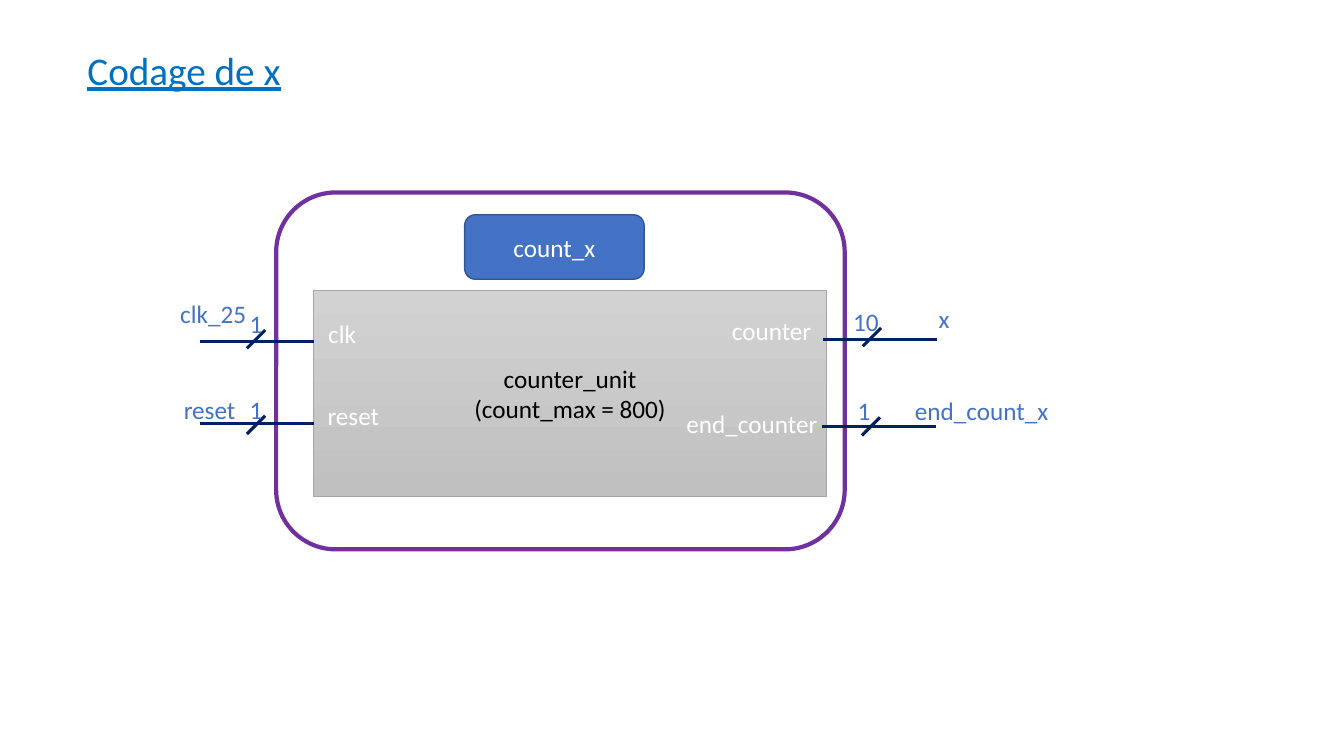
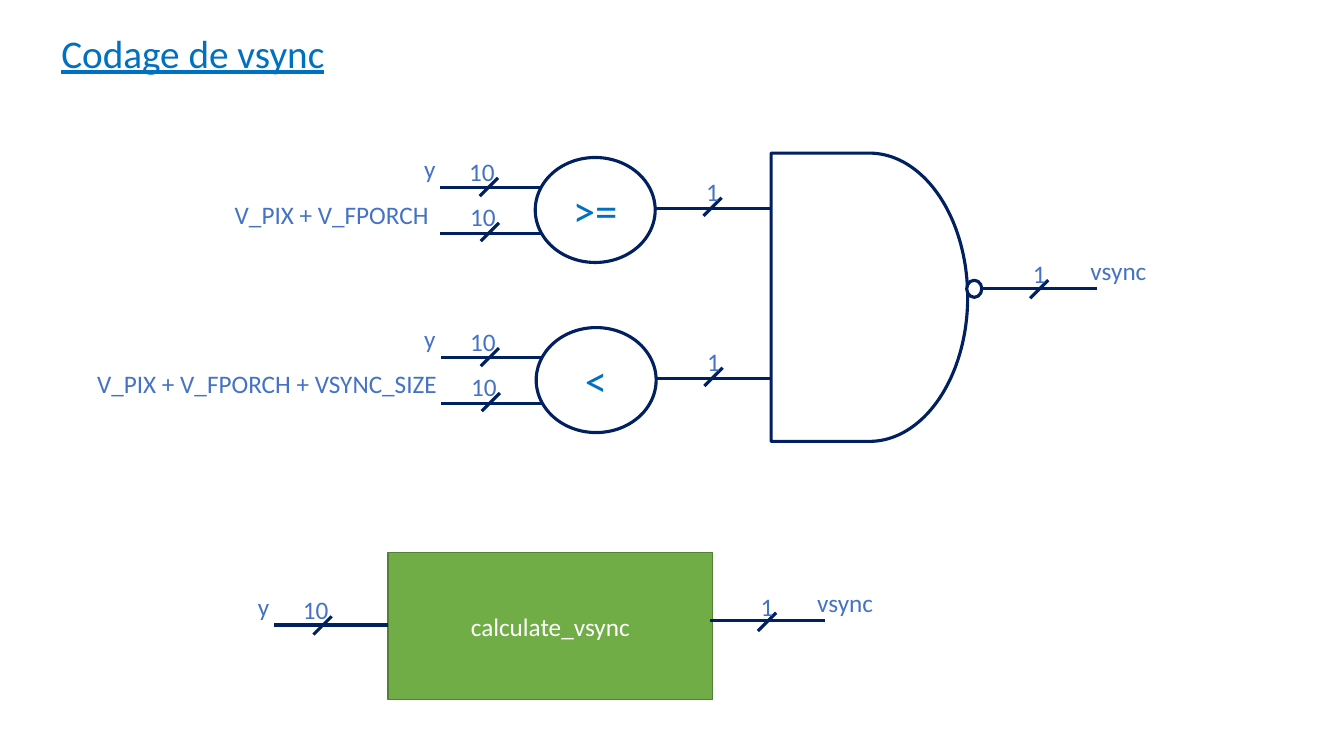
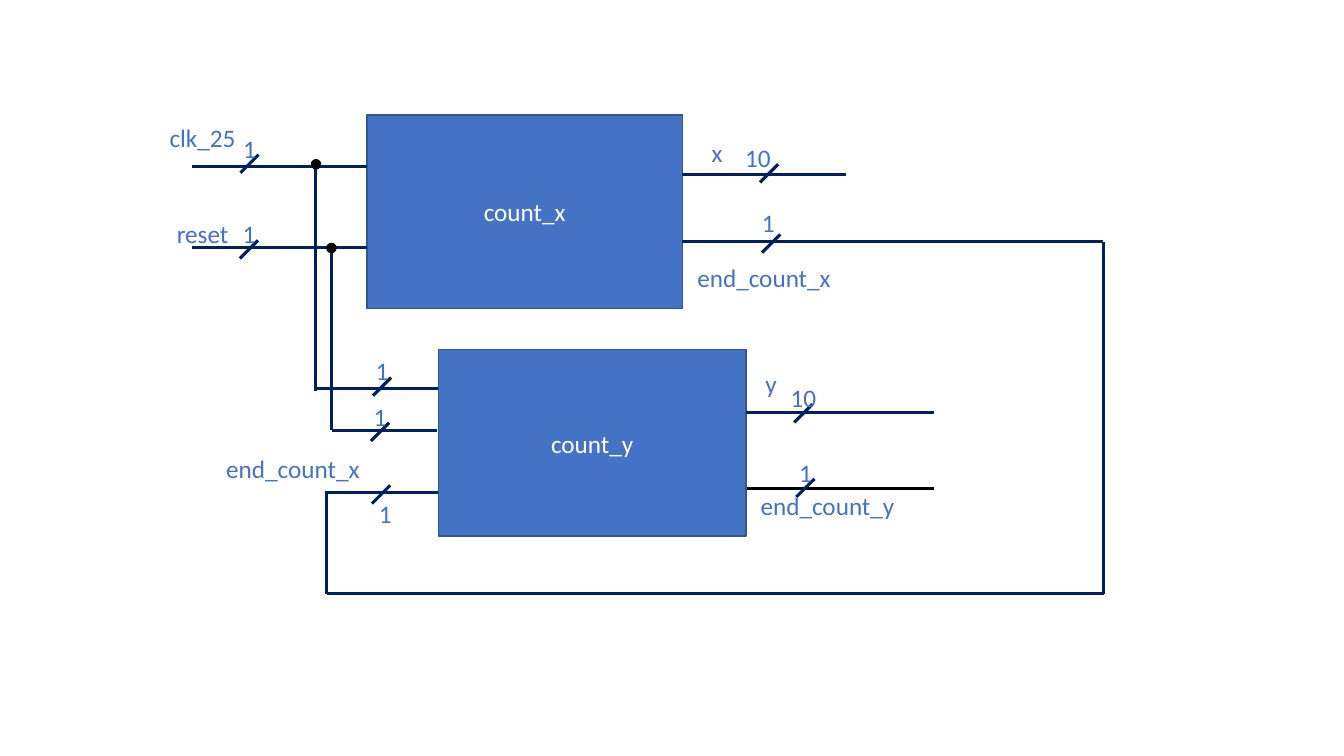
from dataclasses import dataclass

from pptx import Presentation
from pptx.dml.color import RGBColor
from pptx.enum.shapes import MSO_CONNECTOR, MSO_SHAPE
from pptx.enum.text import MSO_ANCHOR, PP_ALIGN
from pptx.oxml.ns import qn
from pptx.slide import Slide
from pptx.text.text import TextFrame
from pptx.util import Pt

FONT = "Calibri"
NAVY = "002060"
BLUE = "4472C4"
BLUE_EDGE = "325491"
TITLE_BLUE = "0070C0"
WHITE = "FFFFFF"
BLACK = "000000"
LABEL_HEIGHT = 28.8
BITS_WIDTH = 34.6
SLASH_HALF = 6.5


@dataclass
class Label:
    text: str
    left: float
    top: float
    width: float
    color: str = BLUE


@dataclass
class Block:
    left: float
    top: float
    width: float
    height: float
    text: str = ""
    kind: MSO_SHAPE = MSO_SHAPE.RECTANGLE
    fill: str = BLUE
    edge: str = BLUE_EDGE
    edge_width: float = 1
    color: str = WHITE
    size: float = 18


@dataclass
class Bus:
    start: float
    end: float
    y: float
    slash_x: float
    slash_y: float
    bits: str = "1"
    bits_dx: float = 0
    bits_dy: float = -25.6
    color: str = NAVY


@dataclass
class Comparator:
    operator: str
    left: float
    top: float
    threshold: Label


def rgb(value: str) -> RGBColor:
    return RGBColor.from_string(value)


def write(frame: TextFrame, text: str, size: float, color: str,
          align: PP_ALIGN = PP_ALIGN.CENTER, underline: bool | None = None) -> None:
    frame.text = text
    for paragraph in frame.paragraphs:
        paragraph.alignment = align
        for run in paragraph.runs:
            run.font.name = FONT
            run.font.size = Pt(size)
            run.font.color.rgb = rgb(color)
            run.font.underline = underline


def add_title(slide: Slide, text: str, left: float, top: float, width: float) -> None:
    box = slide.shapes.add_textbox(Pt(left), Pt(top), Pt(width), Pt(41))
    box.text_frame.word_wrap = False
    write(box.text_frame, text, 28, TITLE_BLUE, PP_ALIGN.LEFT, True)


def add_label(slide: Slide, label: Label) -> None:
    box = slide.shapes.add_textbox(Pt(label.left), Pt(label.top), Pt(label.width), Pt(LABEL_HEIGHT))
    box.text_frame.word_wrap = True
    write(box.text_frame, label.text, 18, label.color)


def add_block(slide: Slide, block: Block) -> None:
    shape = slide.shapes.add_shape(
        block.kind, Pt(block.left), Pt(block.top), Pt(block.width), Pt(block.height))
    shape.shadow.inherit = False
    if "-" in block.fill:
        shape.fill.gradient()
        shape.fill.gradient_angle = 270
        for stop, color in zip(shape.fill.gradient_stops, block.fill.split("-")):
            stop.color.rgb = rgb(color)
    else:
        shape.fill.solid()
        shape.fill.fore_color.rgb = rgb(block.fill)
    shape.line.color.rgb = rgb(block.edge)
    shape.line.width = Pt(block.edge_width)
    if block.text:
        shape.text_frame.vertical_anchor = MSO_ANCHOR.MIDDLE
        write(shape.text_frame, block.text, block.size, block.color)


def add_wire(slide: Slide, x1: float, y1: float, x2: float, y2: float, color: str = NAVY) -> None:
    wire = slide.shapes.add_connector(MSO_CONNECTOR.STRAIGHT, Pt(x1), Pt(y1), Pt(x2), Pt(y2))
    wire.line.color.rgb = rgb(color)
    wire.line.width = Pt(2.25)
    properties = wire.element.spPr
    properties.append(properties.makeelement(qn("a:effectLst"), {}))


def add_bus(slide: Slide, bus: Bus) -> None:
    add_wire(slide, bus.start, bus.y, bus.end, bus.y, bus.color)
    add_wire(slide, bus.slash_x - SLASH_HALF, bus.slash_y + SLASH_HALF,
             bus.slash_x + SLASH_HALF, bus.slash_y - SLASH_HALF)
    add_label(slide, Label(bus.bits, bus.slash_x + bus.bits_dx - BITS_WIDTH / 2,
                           bus.slash_y + bus.bits_dy, BITS_WIDTH))


def add_comparator(slide: Slide, comparator: Comparator) -> None:
    left, top = comparator.left, comparator.top
    for bus in (
        Bus(left - 67.7, left + 14, top + 21.4, left - 33.1, top + 21.1, "10", -5),
        Bus(left - 67.7, left + 14.4, top + 54.4, left - 32.4, top + 53.2, "10", -5),
        Bus(left + 86.4, left + 168, top + 36.4, left + 126.7, top + 35.2),
    ):
        add_bus(slide, bus)
    add_label(slide, comparator.threshold)
    add_label(slide, Label("y", 288, top - 6.8, 38.2))
    add_block(slide, Block(left, top, 85.7, 75, comparator.operator, MSO_SHAPE.OVAL,
                           WHITE, NAVY, 2.25, TITLE_BLUE, 32))


def draw_count_x(slide: Slide) -> None:
    add_title(slide, "Codage de x", 55.4, 29.5, 154)
    for block in (
        Block(197.3, 137.5, 406.1, 254.9, "", MSO_SHAPE.ROUNDED_RECTANGLE, WHITE, "7030A0", 3),
        Block(223.9, 207.4, 366.5, 146.9, "counter_unit\n(count_max = 800)",
              fill="D2D2D2-C0C0C0", edge="A5A5A5", edge_width=0.5, color=BLACK),
        Block(331.9, 153.4, 128.2, 46.1, "count_x", MSO_SHAPE.ROUNDED_RECTANGLE),
    ):
        add_block(slide, block)
    for bus in (
        Bus(142.6, 224, 244.1, 182.9, 242.3),
        Bus(142.6, 224, 302.4, 182.9, 303.5),
        Bus(588.2, 669.6, 242.6, 622.8, 240.8, "10", -4.3),
        Bus(587.5, 668.9, 304.6, 622.1, 304.6, "1", -5),
    ):
        add_bus(slide, bus)
    for label in (
        Label("clk_25", 118.1, 209.5, 68.4),
        Label("reset", 119.5, 277.9, 60.5),
        Label("x", 655.2, 213.1, 38.2),
        Label("end_count_x", 635, 278.6, 132.5),
        Label("clk", 210.2, 223.9, 68.4, WHITE),
        Label("reset", 218.2, 282.2, 68.4, WHITE),
        Label("counter", 504, 221.8, 94.3, WHITE),
        Label("end_counter", 470.9, 288, 132.5, WHITE),
    ):
        add_label(slide, label)


def draw_vsync(slide: Slide) -> None:
    add_title(slide, "Codage de vsync", 36.7, 17.3, 204.5)
    for comparator in (
        Comparator(">=", 382.3, 112.5, Label("V_PIX + V_FPORCH", 146.2, 139, 181.4)),
        Comparator("<", 383, 234, Label("V_PIX + V_FPORCH + VSYNC_SIZE", 44.6, 259.2, 292.3)),
    ):
        add_comparator(slide, comparator)
    for block in (
        Block(550.8, 109.4, 140.4, 205.9, "", MSO_SHAPE.FLOWCHART_DELAY, WHITE, NAVY, 2.25),
        Block(690.5, 200.2, 10.8, 12.2, "", MSO_SHAPE.OVAL, WHITE, NAVY, 2.25),
        Block(277.2, 394.6, 231.8, 105.1, "calculate_vsync", fill="70AD47", edge="538035"),
    ):
        add_block(slide, block)
    for bus in (
        Bus(702, 783.4, 205.9, 742.3, 206.6),
        Bus(195.8, 277.2, 446.4, 230.4, 446.8, "10", -5),
        Bus(506.9, 589, 443.5, 547.9, 444.2),
    ):
        add_bus(slide, bus)
    for label in (
        Label("vsync", 743.8, 178.6, 110.2),
        Label("y", 169.2, 419, 38.2),
        Label("vsync", 548.6, 416.2, 110.2),
    ):
        add_label(slide, label)


def draw_counters(slide: Slide) -> None:
    for block in (
        Block(262.1, 82.1, 225.4, 138.2, "count_x"),
        Block(313.2, 249.8, 219.6, 133.2, "count_y"),
    ):
        add_block(slide, block)
    for bus in (
        Bus(137.5, 262.1, 118.8, 178.2, 117),
        Bus(137.5, 262.1, 177.1, 177.8, 178.2),
        Bus(487.4, 604.1, 124.6, 549.4, 123.8, "10", -8),
        Bus(487.4, 787.7, 172.8, 550.8, 173.9, "1", -2, -29.2),
        Bus(225.4, 313.2, 277.2, 272.9, 276.1),
        Bus(236.9, 312.5, 307.4, 271.4, 308.5),
        Bus(231.8, 313.2, 352.1, 272.2, 353.2, "1", 2.9, -1.1),
        Bus(532.8, 667.4, 294.5, 573.8, 295.2, "10"),
        Bus(533.5, 667.4, 349.2, 575.3, 348.5, color=BLACK),
    ):
        add_bus(slide, bus)
    for label in (
        Label("clk_25", 108.7, 84.2, 72),
        Label("reset", 114.5, 152.6, 60.5),
        Label("x", 493.2, 94.3, 38.2),
        Label("end_count_x", 479.5, 183.6, 132.5),
        Label("end_count_x", 149.8, 320.4, 118.8),
        Label("y", 520.6, 259.2, 60.5),
        Label("end_count_y", 496.8, 347, 188.6),
    ):
        add_label(slide, label)
    for x1, y1, x2, y2 in (
        (225.4, 118.8, 225.4, 279.4),
        (236.9, 177.1, 236.9, 307.4),
        (788.4, 172.8, 788.4, 424.1),
        (233.3, 424.1, 788.4, 424.1),
        (233.3, 352.1, 233.3, 424.1),
    ):
        add_wire(slide, x1, y1, x2, y2)
    for left, top in ((222.5, 114.1), (233.5, 173.9)):
        add_block(slide, Block(left, top, 6.5, 6.5, "", MSO_SHAPE.OVAL, BLACK, BLACK))


def main() -> None:
    deck = Presentation()
    deck.slide_width, deck.slide_height = Pt(960), Pt(540)
    for draw in (draw_count_x, draw_vsync, draw_counters):
        draw(deck.slides.add_slide(deck.slide_layouts[6]))
    deck.save("out.pptx")


if __name__ == "__main__":
    main()
